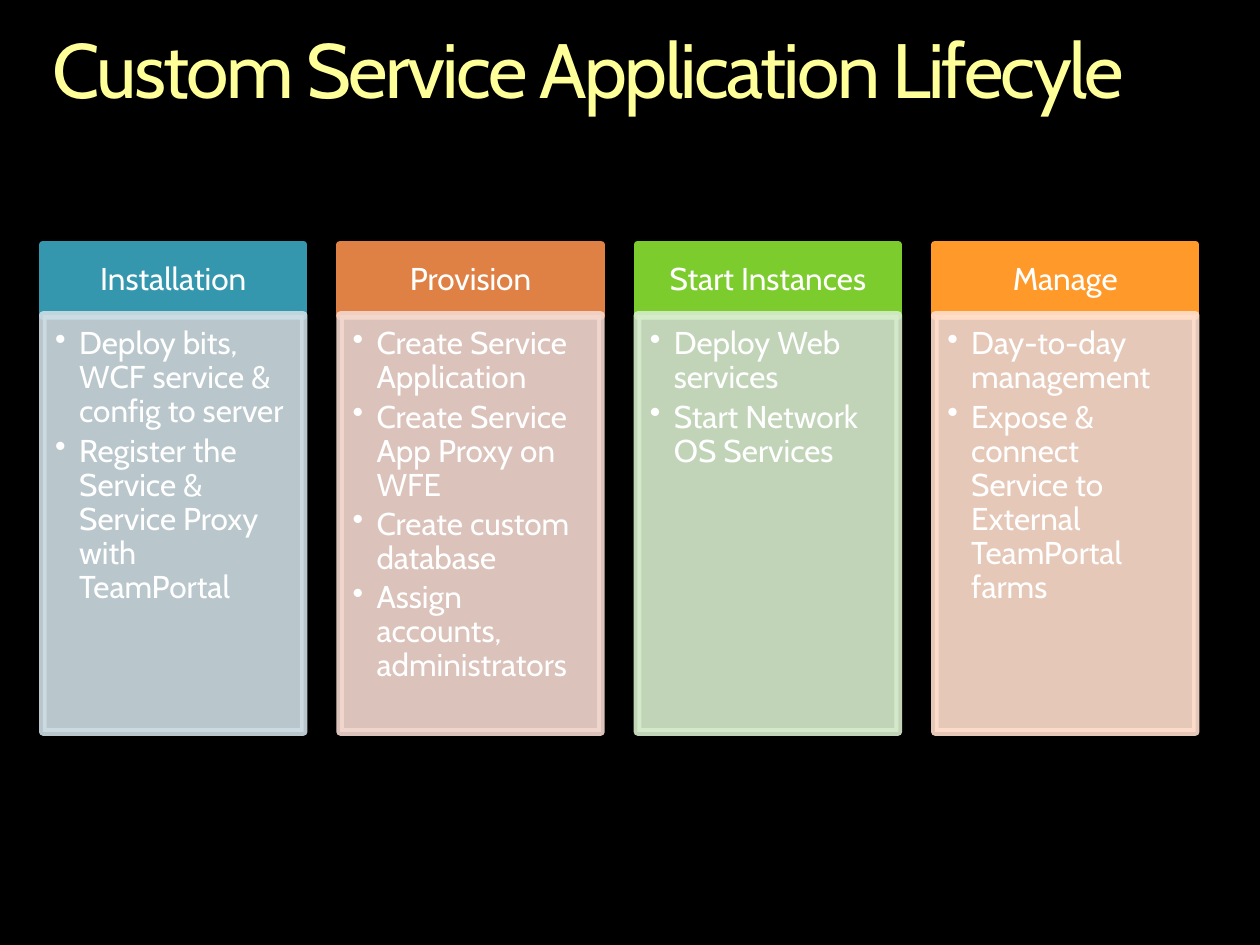
from lxml import etree
from pptx import Presentation
from pptx.dml.color import RGBColor
from pptx.enum.shapes import MSO_SHAPE
from pptx.enum.text import MSO_ANCHOR, PP_ALIGN
from pptx.oxml.ns import qn
from pptx.util import Inches, Pt

RECTANGLE = MSO_SHAPE.RECTANGLE
TOP, MIDDLE = MSO_ANCHOR.TOP, MSO_ANCHOR.MIDDLE
LEFT, CENTER = PP_ALIGN.LEFT, PP_ALIGN.CENTER

TITLE = "Custom Service Application Lifecyle"
# Stage name, header colour, body colour, steps
STAGES = [
    ("Installation", "3497AE", "CEDDE3", [
        "Deploy bits, WCF service & config to server",
        "Register the Service & Service Proxy with TeamPortal"]),
    ("Provision", "DF8045", "F3D8CF", [
        "Create Service Application",
        "Create Service App Proxy on WFE",
        "Create custom database",
        "Assign accounts, administrators"]),
    ("Start Instances", "7DCC2E", "D7ECCD", [
        "Deploy Web services",
        "Start Network OS Services"]),
    ("Manage", "FF9929", "FFDECD", [
        "Day-to-day management",
        "Expose & connect Service to External TeamPortal farms"]),
]
THEME = {
    "font": "Cabin", "background": "000000", "title": "FFFF99", "text": "FFFFFF",
    "title_size": 44, "text_size": 18, "line_width": 4.33, "body_alpha": 90,
}
COLUMN_LEFT, COLUMN_WIDTH, COLUMN_STEP = 0.34, 2.07, 2.36
HEADER_TOP, HEADER_HEIGHT = 1.94, 0.57
BODY_TOP, BODY_HEIGHT = 2.5, 3.31
BULLET_INDENT = 0.19


def set_text(box, lines, *, size=THEME["text_size"], color=THEME["text"],
             align=LEFT, anchor=TOP, margins=(0, 0, 0, 0), bullet=False,
             space_after=0, tracking=0):
    frame = box.text_frame
    frame.word_wrap = True
    frame.vertical_anchor = anchor
    (frame.margin_left, frame.margin_top,
     frame.margin_right, frame.margin_bottom) = map(Inches, margins)
    for index, line in enumerate(lines):
        para = frame.add_paragraph() if index else frame.paragraphs[0]
        if bullet:
            add_bullet(para)
        para.alignment = align
        para.line_spacing = 0.9
        para.space_before = Pt(0)
        para.space_after = Pt(space_after)
        span = para.add_run()
        span.text = line
        span.font.name = THEME["font"]
        span.font.size = Pt(size)
        span.font.color.rgb = RGBColor.from_string(color)
        if tracking:
            span.font._element.set("spc", str(int(tracking * 100)))


def add_bullet(para):
    properties = para._p.get_or_add_pPr()
    properties.set("marL", str(Inches(BULLET_INDENT)))
    properties.set("indent", str(-Inches(BULLET_INDENT)))
    etree.SubElement(properties, qn("a:buChar")).set("char", "•")


def add_panel(slide, left, top, height, color, alpha=100):
    panel = slide.shapes.add_shape(
        RECTANGLE, Inches(left), Inches(top), Inches(COLUMN_WIDTH), Inches(height))
    panel.shadow.inherit = False
    panel.line.width = Pt(THEME["line_width"])
    for fill in (panel.fill, panel.line.fill):
        fill.solid()
        fill.fore_color.rgb = RGBColor.from_string(color)
    if alpha < 100:
        for tone in panel._element.spPr.iter(qn("a:srgbClr")):
            etree.SubElement(tone, qn("a:alpha")).set("val", str(alpha * 1000))
    return panel


def add_stage(slide, left, name, header_color, body_color, steps):
    header = add_panel(slide, left, HEADER_TOP, HEADER_HEIGHT, header_color)
    set_text(header, [name], align=CENTER, anchor=MIDDLE,
             margins=(0.14, 0.08, 0.14, 0.08))
    body = add_panel(slide, left, BODY_TOP, BODY_HEIGHT, body_color,
                     alpha=THEME["body_alpha"])
    set_text(body, steps, margins=(0.1, 0.1, 0.14, 0.16), bullet=True, space_after=3)


def main():
    deck = Presentation()
    deck.slide_width, deck.slide_height = Inches(10), Inches(7.5)
    slide = deck.slides.add_slide(deck.slide_layouts[5])
    background = slide.background.fill
    background.solid()
    background.fore_color.rgb = RGBColor.from_string(THEME["background"])

    title = slide.shapes.title
    title.left, title.top = Inches(0.42), Inches(0.25)
    title.width, title.height = Inches(9.17), Inches(0.67)
    set_text(title, [TITLE], size=THEME["title_size"], color=THEME["title"],
             tracking=-1.5)

    for index, stage in enumerate(STAGES):
        add_stage(slide, COLUMN_LEFT + index * COLUMN_STEP, *stage)
    deck.save("out.pptx")


if __name__ == "__main__":
    main()
